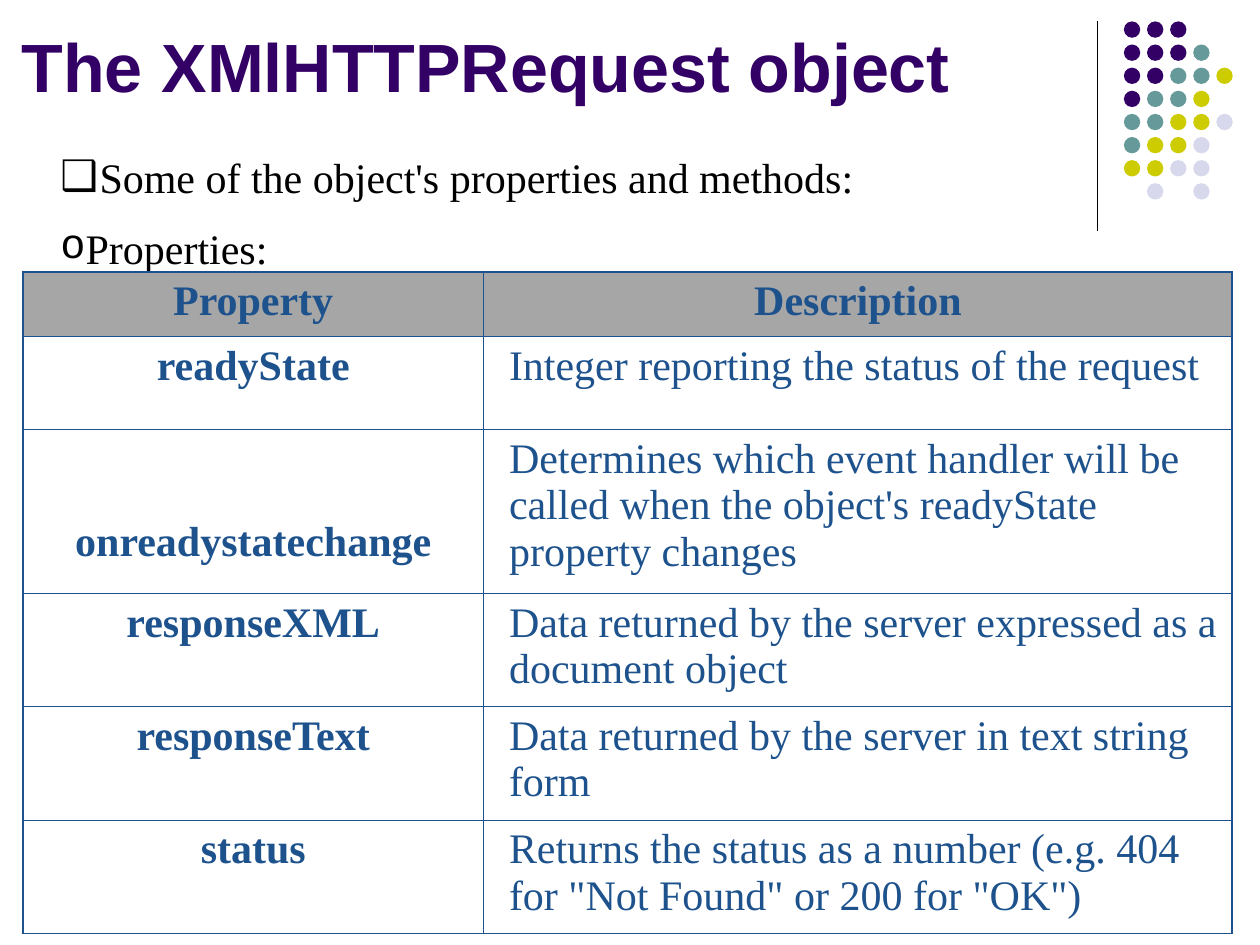
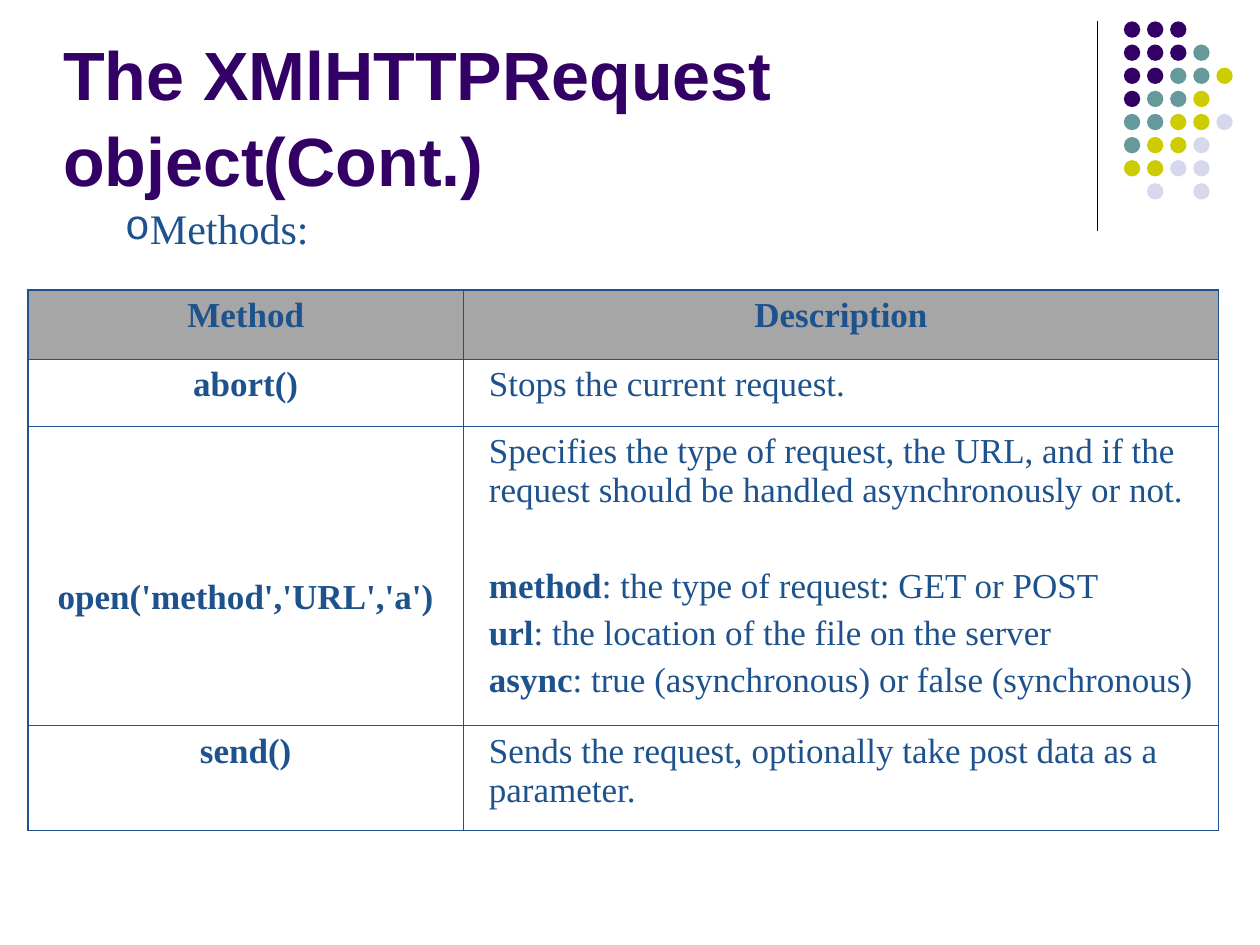
from pptx import Presentation
from pptx.dml.color import RGBColor
from pptx.enum.shapes import MSO_CONNECTOR, MSO_SHAPE
from pptx.enum.text import MSO_ANCHOR, MSO_AUTO_SIZE, PP_ALIGN
from pptx.oxml.ns import qn
from pptx.util import Inches, Pt
from lxml.etree import SubElement

INK, BLUE, GREY, BLACK = "330066", "1D528D", "A6A6A6", "000000"
SERIF = "Times New Roman"

# One letter per dot, a blank where the grid has none
DOTS = ["ppp", "pppt", "pptty", "ptty", "ttyyl", "tyyl", "yyll", " l l"]
DOT_INK = {"p": INK, "t": "669999", "y": "CCCC00", "l": "D8D8EC"}

# Bullet: (sign, font, hanging indent)
BOX = ("❑", "Arial", 0.31)
RING = ("o", "Courier New", 0.2)

# Row: (height, drop of the term, term, description paragraphs)
# Paragraph: (space before, bold lead, text)
SLIDES = [
    dict(
        title="The XMlHTTPRequest object",
        head=(0.17, 0.17, 8.5, 0.67),
        body=(0.48, 1.2, 6.6, 0.95),
        ink=BLACK,
        items=[(BOX, "Some of the object's properties and methods:"),
               (RING, "Properties:")],
        spot=(0.18, 2.16), cols=(3.66, 5.94), size=24, foot=1.08,
        rows=[
            (0.51, 0, "Property", "Description"),
            (0.74, 0, "readyState",
             [(0, "", "Integer reporting the status of the request")]),
            (1.3, 0.66, "onreadystatechange",
             [(0, "", "Determines which event handler will be called when "
                      "the object's readyState property changes")]),
            (0.9, 0, "responseXML",
             [(0, "", "Data returned by the server expressed as a "
                      "document object")]),
            (0.9, 0, "responseText",
             [(0, "", "Data returned by the server in text string form")]),
            (0.9, 0, "status",
             [(0, "", "Returns the status as a number (e.g. 404 "
                      "for \"Not Found\" or 200 for \"OK\")")]),
        ],
    ),
    dict(
        title="The XMlHTTPRequest object(Cont.)",
        head=(0.5, 0.13, 8.25, 1.46),
        body=(0.99, 1.61, 2, 0.41),
        ink=BLUE,
        items=[(RING, "Methods:")],
        spot=(0.22, 2.3), cols=(3.46, 5.99), size=20, foot=0.45,
        rows=[
            (0.55, 0, "Method", "Description"),
            (0.53, 0, "abort()", [(0, "", "Stops the current request.")]),
            (2.38, 1.16, "open('method','URL','a')",
             [(0, "", "Specifies the type of request, the URL, and if the "
                      "request should be handled asynchronously or not."),
              (32.5, "method", ": the type of request: GET or POST"),
              (4.8, "url", ": the location of the file on the server"),
              (4.8, "async",
               ": true (asynchronous) or false (synchronous)")]),
            (0.83, 0, "send()",
             [(0, "", "Sends the request, optionally take post data as a "
                      "parameter.")]),
        ],
    ),
]


def rgb(code):
    return RGBColor.from_string(code)


def style(font, name, size, ink, bold=None):
    font.name, font.size, font.bold = name, Pt(size), bold
    font.color.rgb = rgb(ink)


def deck(layout, slide):
    """Draw the rule and the dots, then move them to the layout."""
    group = slide.shapes.add_group_shape()
    rule = group.shapes.add_connector(
        MSO_CONNECTOR.STRAIGHT, *map(Inches, (8.71, 0.17, 8.71, 1.83)))
    rule.line.color.rgb, rule.line.width = rgb(BLACK), Pt(0.75)
    SubElement(rule.element.spPr, qn("a:effectLst"))
    side, step = Inches(0.13), 0.1835
    for row, line in enumerate(DOTS):
        for col, key in enumerate(line):
            if key == " ":
                continue
            dot = group.shapes.add_shape(
                MSO_SHAPE.OVAL, Inches(8.92 + col * step),
                Inches(0.17 + row * step), side, side)
            dot.shadow.inherit = False
            dot.fill.solid()
            dot.fill.fore_color.rgb = rgb(DOT_INK[key])
            dot.line.fill.background()
    for num, tag in enumerate(group.element.xpath(".//p:cNvPr"), 100):
        tag.set("id", str(num))
    layout.shapes.element.append(group.element)


def place(shape, box, anchor):
    """Set a placeholder's box and clear its insets; give its text frame."""
    shape.left, shape.top, shape.width, shape.height = map(Inches, box)
    frame = shape.text_frame
    frame.margin_left = frame.margin_right = 0
    frame.margin_top = frame.margin_bottom = 0
    frame.word_wrap, frame.auto_size = True, MSO_AUTO_SIZE.NONE
    frame.vertical_anchor = anchor
    return frame


def bullet(para, sign, face, hang):
    props = para._p.get_or_add_pPr()
    props.set("marL", str(Inches(hang)))
    props.set("indent", str(-Inches(hang)))
    SubElement(props, qn("a:buFont"), typeface=face)
    SubElement(props, qn("a:buChar"), char=sign)


def write(slide, data):
    frame = place(slide.shapes.title, data["head"], MSO_ANCHOR.BOTTOM)
    frame.text = data["title"]
    para = frame.paragraphs[0]
    para.alignment, para.line_spacing = PP_ALIGN.LEFT, 1.05
    style(para.font, "Arial", 39, INK, True)

    frame = place(slide.placeholders[1], data["body"], MSO_ANCHOR.TOP)
    for num, (mark, text) in enumerate(data["items"]):
        para = frame.add_paragraph() if num else frame.paragraphs[0]
        para.text = text
        para.space_before = Pt(12 if num else 0)
        bullet(para, *mark)
        style(para.font, SERIF, 24, data["ink"])


def edge(cell, widths):
    """Border a cell: widths in points for left, right, top, bottom."""
    props = cell._tc.get_or_add_tcPr()
    for side, width in zip("LRTB", widths):
        line = SubElement(props, qn("a:ln" + side), w=str(Pt(width)))
        fill = SubElement(line, qn("a:solidFill"))
        SubElement(fill, qn("a:srgbClr"), val=BLUE)


def fill(cell, paras, size, align):
    frame = cell.text_frame
    for num, (space, lead, text) in enumerate(paras):
        para = frame.add_paragraph() if num else frame.paragraphs[0]
        para.alignment, para.space_before = align, Pt(space)
        style(para.font, SERIF, size, BLUE)
        for part, bold in ((lead, True), (text, False)):
            if part:
                run = para.add_run()
                run.text = part
                style(run.font, SERIF, size, BLUE, bold)


def grid(slide, data):
    rows, cols, size = data["rows"], data["cols"], data["size"]
    high = sum(row[0] for row in rows)
    table = slide.shapes.add_table(
        len(rows), len(cols),
        *map(Inches, (*data["spot"], sum(cols), high))).table
    table.first_row = table.horz_banding = False
    for col, width in zip(table.columns, cols):
        col.width = Inches(width)
    thick, thin = 1.08, 0.45
    for num, (tall, drop, term, text) in enumerate(rows):
        table.rows[num].height = Inches(tall)
        top = thin if num else thick
        base = data["foot"] if num == len(rows) - 1 else thin
        left, right = table.cell(num, 0), table.cell(num, 1)
        edge(left, (thick, thin, top, base))
        edge(right, (thin, thick, top, base))
        for cell in (left, right):
            if num:
                cell.fill.background()
            else:
                cell.fill.solid()
                cell.fill.fore_color.rgb = rgb(GREY)
        left.margin_top = Inches(0.05 + drop)
        fill(left, [(0, term, "")], size, PP_ALIGN.CENTER)
        if num:
            right.margin_left = Inches(0.2)
            fill(right, text, size, PP_ALIGN.LEFT)
        else:
            fill(right, [(0, text, "")], size, PP_ALIGN.CENTER)


def main():
    prs = Presentation()
    prs.slide_width, prs.slide_height = Inches(10), Inches(7.5)
    layout = prs.slide_layouts[1]
    for num, data in enumerate(SLIDES):
        slide = prs.slides.add_slide(layout)
        if num == 0:
            deck(layout, slide)
        write(slide, data)
        grid(slide, data)
    prs.save("out.pptx")


if __name__ == "__main__":
    main()
